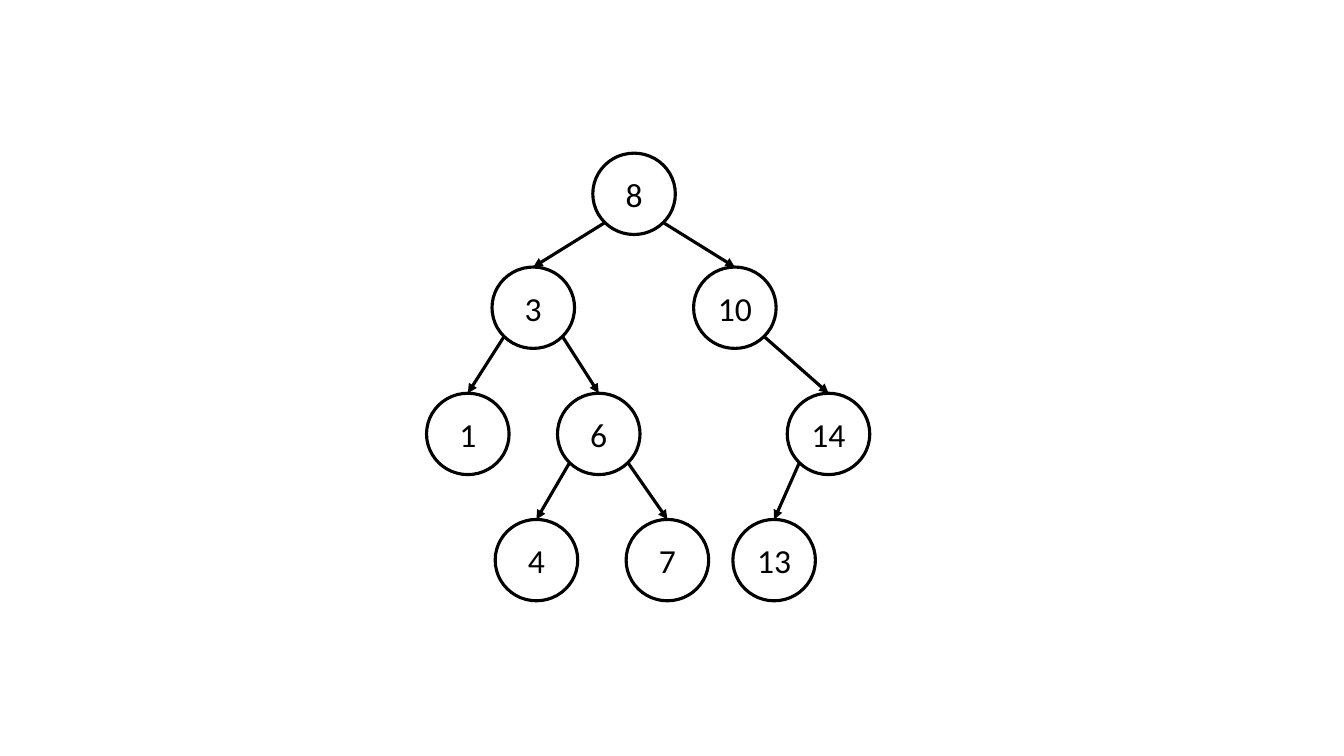
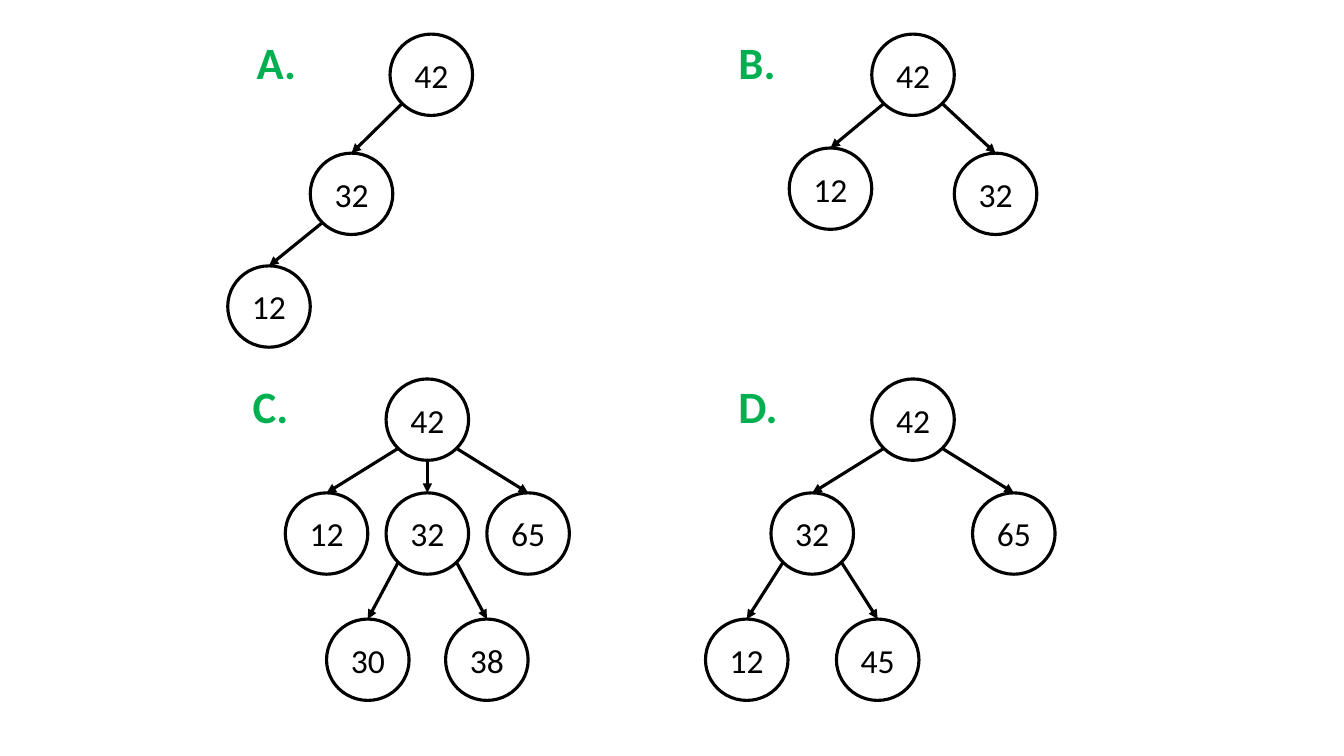
"""Draw search trees as circles joined by arrows on two slides."""
import math

import pptx
import pptx.dml.color
import pptx.enum.shapes
import pptx.enum.text
import pptx.oxml.ns
import pptx.util
from lxml import etree

Cm, Pt = pptx.util.Cm, pptx.util.Pt
RGB = pptx.dml.color.RGBColor
Align = pptx.enum.text.PP_ALIGN
Anchor = pptx.enum.text.MSO_ANCHOR
Fit = pptx.enum.text.MSO_AUTO_SIZE
Shape = pptx.enum.shapes.MSO_SHAPE
Line = pptx.enum.shapes.MSO_CONNECTOR.STRAIGHT
qn = pptx.oxml.ns.qn

BLACK = RGB(0x00, 0x00, 0x00)
GREEN = RGB(0x00, 0xB0, 0x50)
FONT = "Calibri"
WIDE, HIGH = 2.08, 2.05
NEAR, FAR = 2.87, 3.18
TOP, LOW = 0.86, 9.55
LEFT, RIGHT = 9.83, 21.97

# Each node is (text, shift from parent, drop from parent, children).
SLIDES = [
    [
        ("", ("8", 14.94, 3.86, [
            ("3", -2.54, NEAR, [
                ("1", -1.65, FAR, []),
                ("6", 1.65, FAR, [
                    ("4", -1.57, FAR, []),
                    ("7", 1.73, FAR, []),
                ]),
            ]),
            ("10", 2.54, NEAR, [
                ("14", 2.36, FAR, [("13", -1.37, FAR, [])]),
            ]),
        ])),
    ],
    [
        ("A.", ("42", LEFT, TOP, [
            ("32", -2.01, 3, [("12", -2.08, 2.84, [])]),
        ])),
        ("B.", ("42", RIGHT, TOP, [
            ("32", 2.08, 3, []),
            ("12", -2.08, NEAR, []),
        ])),
        ("C.", ("42", 9.73, LOW, [
            ("32", 0, NEAR, [
                ("30", -1.5, FAR, []),
                ("38", 1.5, FAR, []),
            ]),
            ("12", -2.54, NEAR, []),
            ("65", 2.54, NEAR, []),
        ])),
        ("D.", ("42", RIGHT, LOW, [
            ("32", -2.54, NEAR, [
                ("12", -1.65, FAR, []),
                ("45", 1.65, FAR, []),
            ]),
            ("65", 2.54, NEAR, []),
        ])),
    ],
]


def write(shape, text, size=24, color=BLACK, bold=False,
          align=Align.CENTER, anchor=Anchor.MIDDLE, fit=Fit.NONE):
    """Put formatted text into a shape."""
    frame = shape.text_frame
    frame.word_wrap = False
    frame.auto_size = fit
    frame.vertical_anchor = anchor
    para = frame.paragraphs[0]
    para.alignment = align
    run = para.add_run()
    run.text = text
    font = run.font
    font.name, font.size, font.bold = FONT, Pt(size), bold
    font.color.rgb = color


def stroke(item):
    """Give a shape or an arrow its black outline."""
    item.line.color.rgb = BLACK
    item.line.width = Pt(2.25)


def join(slide, child, x, y, shift):
    """Draw an arrow from the rim of the parent at x, y to the child."""
    side = (shift > 0) - (shift < 0)
    turn = side * math.pi / 4
    start_x = Cm(x + WIDE / 2 * (1 + math.sin(turn)))
    start_y = Cm(y + HIGH / 2 * (1 + math.cos(turn)))
    arrow = slide.shapes.add_connector(
        Line, start_x, start_y, start_x, start_y)
    arrow.end_connect(child, 0)
    stroke(arrow)
    tip = etree.SubElement(arrow.line._get_or_add_ln(), qn("a:tailEnd"))
    tip.set("type", "triangle")
    etree.SubElement(arrow._element.spPr, qn("a:effectLst"))


def grow(slide, node, x=0, y=0):
    """Draw a node and all that hangs below it."""
    text, shift, drop, kids = node
    x, y = x + shift, y + drop
    disc = slide.shapes.add_shape(
        Shape.OVAL, Cm(x), Cm(y), Cm(WIDE), Cm(HIGH))
    disc.shadow.inherit = False
    disc.fill.background()
    stroke(disc)
    write(disc, text)
    for kid in kids:
        child = grow(slide, kid, x, y)
        join(slide, child, x, y, kid[1])
    return disc


def main():
    """Build and save the slides."""
    deck = pptx.Presentation()
    deck.slide_width, deck.slide_height = Cm(33.87), Cm(19.05)
    for trees in SLIDES:
        slide = deck.slides.add_slide(deck.slide_layouts[6])
        for label, root in trees:
            grow(slide, root)
            if label:
                box = slide.shapes.add_textbox(
                    Cm(root[1] - 3.61), Cm(root[2] - 0.12),
                    Cm(1.6), Cm(1.62))
                write(box, label, size=32, color=GREEN, bold=True,
                      align=Align.LEFT, anchor=Anchor.TOP,
                      fit=Fit.SHAPE_TO_FIT_TEXT)
    deck.save("out.pptx")


if __name__ == "__main__":
    main()
